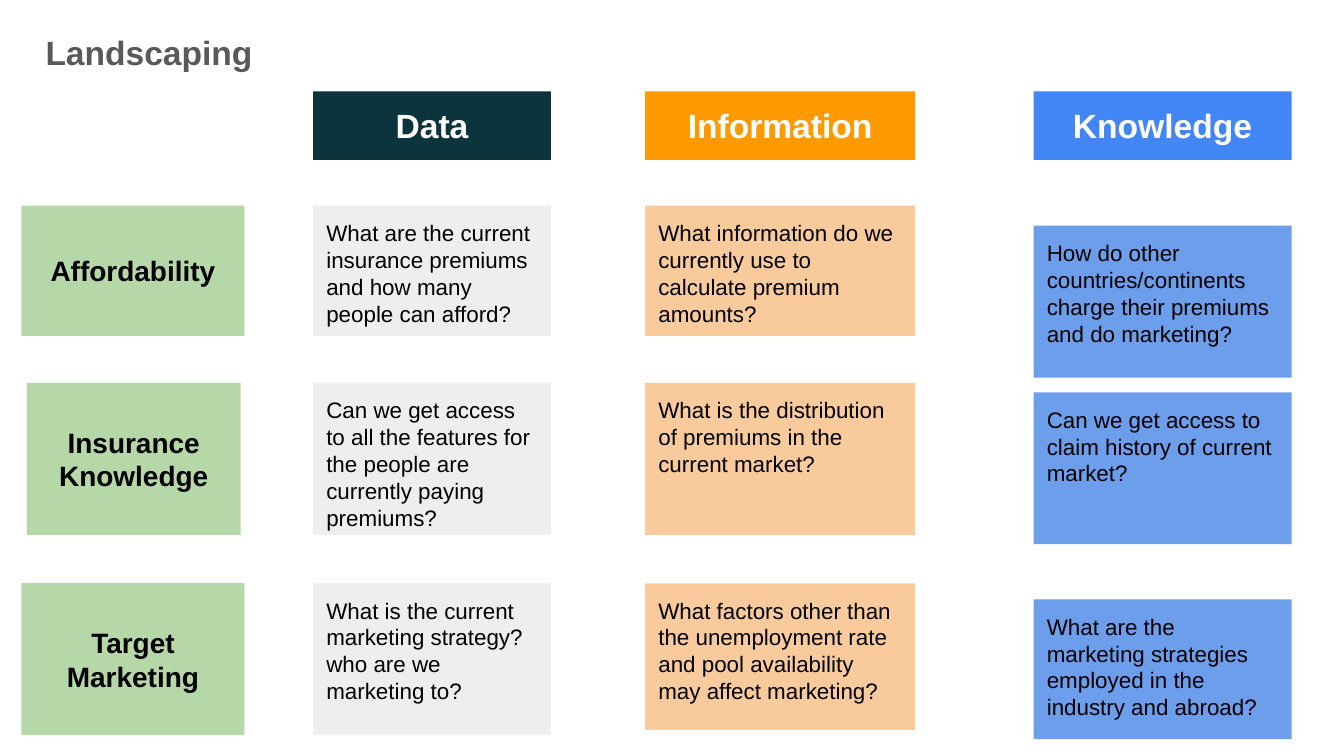
from dataclasses import dataclass

from pptx import Presentation
from pptx import util as u
from pptx.dml.color import RGBColor
from pptx.enum import shapes, text


@dataclass(frozen=True)
class Theme:
    font: str = "Arial"
    heading_size: int = 18
    label_size: int = 15
    body_size: int = 12
    title: str = "595959"
    black: str = "000000"
    white: str = "FFFFFF"
    label_fill: str = "B6D7A8"


@dataclass(frozen=True)
class Cell:
    top: float
    height: float
    words: str


@dataclass(frozen=True)
class Column:
    heading: str
    left: float
    width: float
    head_fill: str
    cell_fill: str
    cells: tuple[Cell, ...]


@dataclass(frozen=True)
class Label:
    left: float
    top: float
    width: float
    height: float
    words: str


THEME = Theme()
HEAD_TOP, HEAD_HEIGHT = 0.68, 0.51
INSET = 0.1

LABELS = (
    Label(0.2, 2.85, 1.59, 1.13, "Insurance Knowledge"),
    Label(0.16, 1.53, 1.66, 0.97, "Affordability"),
    Label(0.16, 4.34, 1.66, 1.13, "Target Marketing"),
)

COLUMNS = (
    Column("Data", 2.33, 1.77, "0C343D", "EEEEEE", (
        Cell(1.53, 0.97, "What are the current insurance premiums and how many people can afford?"),
        Cell(2.85, 1.13, "Can we get access to all the features for the people are currently paying premiums?"),
        Cell(4.34, 1.13, "What is the current marketing strategy? who are we marketing to?"),
    )),
    Column("Information", 4.8, 2.01, "FF9900", "F9CB9C", (
        Cell(1.53, 0.97, "What information do we currently use to calculate premium amounts?"),
        Cell(2.85, 1.13, "What is the distribution of premiums in the current market?"),
        Cell(4.34, 1.09, "What factors other than the unemployment rate and pool availability may affect marketing?"),
    )),
    Column("Knowledge", 7.69, 1.92, "4285F4", "6D9EEB", (
        Cell(2.92, 1.13, "Can we get access to claim history of current market?"),
        Cell(4.46, 1.04, "What are the marketing strategies employed in the industry and abroad?"),
        Cell(1.68, 1.13, "How do other countries/continents charge their premiums and do marketing?"),
    )),
)


def write(sp, words: str, *, size: int = THEME.body_size, color: str = THEME.black,
          bold: bool = False, align=text.PP_ALIGN.LEFT, anchor=text.MSO_ANCHOR.TOP) -> None:
    tf = sp.text_frame
    tf.word_wrap = True
    tf.vertical_anchor = anchor
    tf.margin_left = tf.margin_right = tf.margin_top = tf.margin_bottom = u.Inches(INSET)
    p = tf.paragraphs[0]
    p.alignment = align
    r = p.add_run()
    r.text = words
    r.font.name = THEME.font
    r.font.size = u.Pt(size)
    r.font.bold = bold
    r.font.color.rgb = RGBColor.from_string(color)


def add_box(s, left: float, top: float, width: float, height: float, fill: str):
    sp = s.shapes.add_shape(shapes.MSO_SHAPE.RECTANGLE, u.Inches(left), u.Inches(top),
                            u.Inches(width), u.Inches(height))
    sp.shadow.inherit = False
    sp.fill.solid()
    sp.fill.fore_color.rgb = RGBColor.from_string(fill)
    sp.line.fill.background()
    return sp


def draw_heading(s, column: Column) -> None:
    sp = add_box(s, column.left, HEAD_TOP, column.width, HEAD_HEIGHT, column.head_fill)
    write(sp, column.heading, size=THEME.heading_size, color=THEME.white, bold=True,
          align=text.PP_ALIGN.CENTER)


def draw_cells(s, column: Column) -> None:
    for cell in column.cells:
        sp = add_box(s, column.left, cell.top, column.width, cell.height, column.cell_fill)
        write(sp, cell.words)


def draw_label(s, label: Label) -> None:
    sp = add_box(s, label.left, label.top, label.width, label.height, THEME.label_fill)
    write(sp, label.words, size=THEME.label_size, bold=True,
          align=text.PP_ALIGN.CENTER, anchor=text.MSO_ANCHOR.MIDDLE)


def main() -> None:
    prs = Presentation()
    prs.slide_width = u.Inches(10)
    prs.slide_height = u.Inches(10 * 9 / 16)
    s = prs.slides.add_slide(prs.slide_layouts[6])
    for column in COLUMNS:
        draw_heading(s, column)
    for label in LABELS:
        draw_label(s, label)
    for column in reversed(COLUMNS):
        draw_cells(s, column)
    title = s.shapes.add_textbox(u.Inches(0.24), u.Inches(0.14), u.Inches(1.92), u.Inches(0.39))
    write(title, "Landscaping", size=THEME.heading_size, color=THEME.title, bold=True)
    prs.save("out.pptx")


if __name__ == "__main__":
    main()
